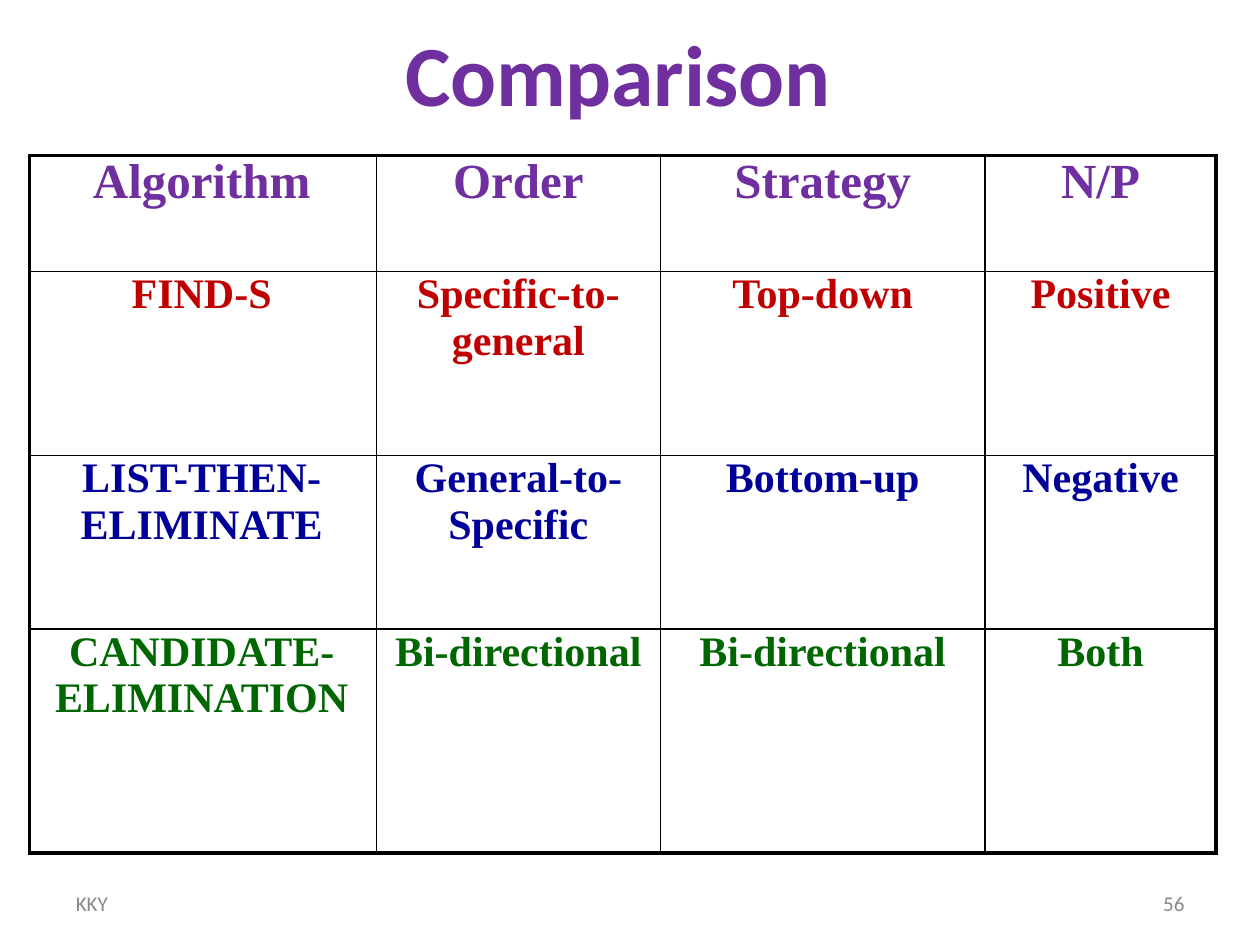
from lxml import etree
from pptx import Presentation
from pptx import util as u
from pptx.dml.color import RGBColor
from pptx.enum import text as t
from pptx.oxml.ns import qn

# Content
TITLE = "Comparison"
COMPARISON = [
    ("Algorithm", "Order", "Strategy", "N/P"),
    ("FIND-S", "Specific-to- general", "Top-down", "Positive"),
    ("LIST-THEN- ELIMINATE", "General-to- Specific", "Bottom-up", "Negative"),
    ("CANDIDATE-\nELIMINATION", "Bi-directional", "Bi-directional", "Both"),
]
FOOTERS = [("KKY", 1.53, 1.9), ("56", 23.45, 0.6)]  # text, left, width

# Geometry in centimetres
COLUMN_WIDTHS = [6.99, 5.72, 6.55, 4.65]
ROW_HEIGHTS = [2.34, 3.71, 3.5, 4.52]
TABLE_LEFT, TABLE_TOP = 0.6, 3.13
FOOTER_TOP, FOOTER_HEIGHT = 17.96, 0.51

THEME = {
    "title": dict(name="Calibri", size=u.Pt(49), bold=True, color="6F2F9F"),
    "footer": dict(name="Calibri", size=u.Pt(12), bold=False, color="888888"),
    "header": dict(name="Times New Roman", size=u.Pt(28), bold=True),
    "body": dict(name="Times New Roman", size=u.Pt(24), bold=True),
    "row_colors": ["6F2F9F", "C00000", "000099", "006600"],
    "border": "000000",
    "outer_line": 2.25,
    "inner_line": 1,
}
NO_MARGINS = dict(margin_left=0, margin_right=0, margin_top=0, margin_bottom=0)
TIGHT = dict(spc="-10")
UNKERNED = dict(kern="0")


def apply(target, values):
    for name, value in values.items():
        setattr(target, name, value)


def write(frame, wording, style, align, spacing):
    frame.text = wording
    for paragraph in frame.paragraphs:
        paragraph.alignment = align
        for run in paragraph.runs:
            apply(run.font, {k: v for k, v in style.items() if k != "color"})
            run.font.color.rgb = RGBColor.from_string(style["color"])
            for name, value in spacing.items():
                run._r.get_or_add_rPr().set(name, value)


def add_borders(cell, outer_sides):
    properties = cell._tc.get_or_add_tcPr()
    for position, side in enumerate("LRTB"):
        points = THEME["outer_line" if outer_sides[side] else "inner_line"]
        line = etree.Element(qn(f"a:ln{side}"), w=str(u.Pt(points)))
        fill = etree.SubElement(line, qn("a:solidFill"))
        etree.SubElement(fill, qn("a:srgbClr"), val=THEME["border"])
        properties.insert(position, line)


deck = Presentation()
apply(deck, dict(slide_width=u.Cm(25.4), slide_height=u.Cm(19.05)))
slide = deck.slides.add_slide(deck.slide_layouts[5])

# Title
heading = slide.shapes.title
apply(heading, dict(left=u.Cm(0.23), top=u.Cm(0.28), width=u.Cm(24.92), height=u.Cm(2.79)))
apply(heading.text_frame, NO_MARGINS | dict(
    margin_top=u.Cm(0.14), margin_right=u.Cm(0.46), word_wrap=True,
    auto_size=t.MSO_AUTO_SIZE.NONE, vertical_anchor=t.MSO_ANCHOR.TOP))
write(heading.text_frame, TITLE, THEME["title"], t.PP_ALIGN.CENTER, TIGHT)

# Comparison table
comparison = slide.shapes.add_table(
    len(ROW_HEIGHTS), len(COLUMN_WIDTHS), u.Cm(TABLE_LEFT), u.Cm(TABLE_TOP),
    u.Cm(sum(COLUMN_WIDTHS)), u.Cm(sum(ROW_HEIGHTS))).table
apply(comparison, dict(first_row=False, horz_banding=False))
for column, width in zip(comparison.columns, COLUMN_WIDTHS):
    column.width = u.Cm(width)
last_row, last_column = len(ROW_HEIGHTS) - 1, len(COLUMN_WIDTHS) - 1
for r, (entries, height) in enumerate(zip(COMPARISON, ROW_HEIGHTS)):
    comparison.rows[r].height = u.Cm(height)
    style = THEME["body" if r else "header"] | dict(color=THEME["row_colors"][r])
    for c, entry in enumerate(entries):
        cell = comparison.cell(r, c)
        apply(cell, NO_MARGINS | dict(vertical_anchor=t.MSO_ANCHOR.TOP))
        # The first column sits slightly left of centre
        cell.margin_right = u.Cm(0 if c else 0.06)
        write(cell.text_frame, entry, style, t.PP_ALIGN.CENTER, UNKERNED)
        cell.fill.background()
        add_borders(cell, dict(L=c == 0, R=c == last_column, T=r == 0, B=r == last_row))

# Footer and slide number
for wording, left, width in FOOTERS:
    footer = slide.shapes.add_textbox(
        u.Cm(left), u.Cm(FOOTER_TOP), u.Cm(width), u.Cm(FOOTER_HEIGHT))
    apply(footer.text_frame, NO_MARGINS | dict(word_wrap=True))
    write(footer.text_frame, wording, THEME["footer"], t.PP_ALIGN.LEFT, {})

deck.save("out.pptx")
